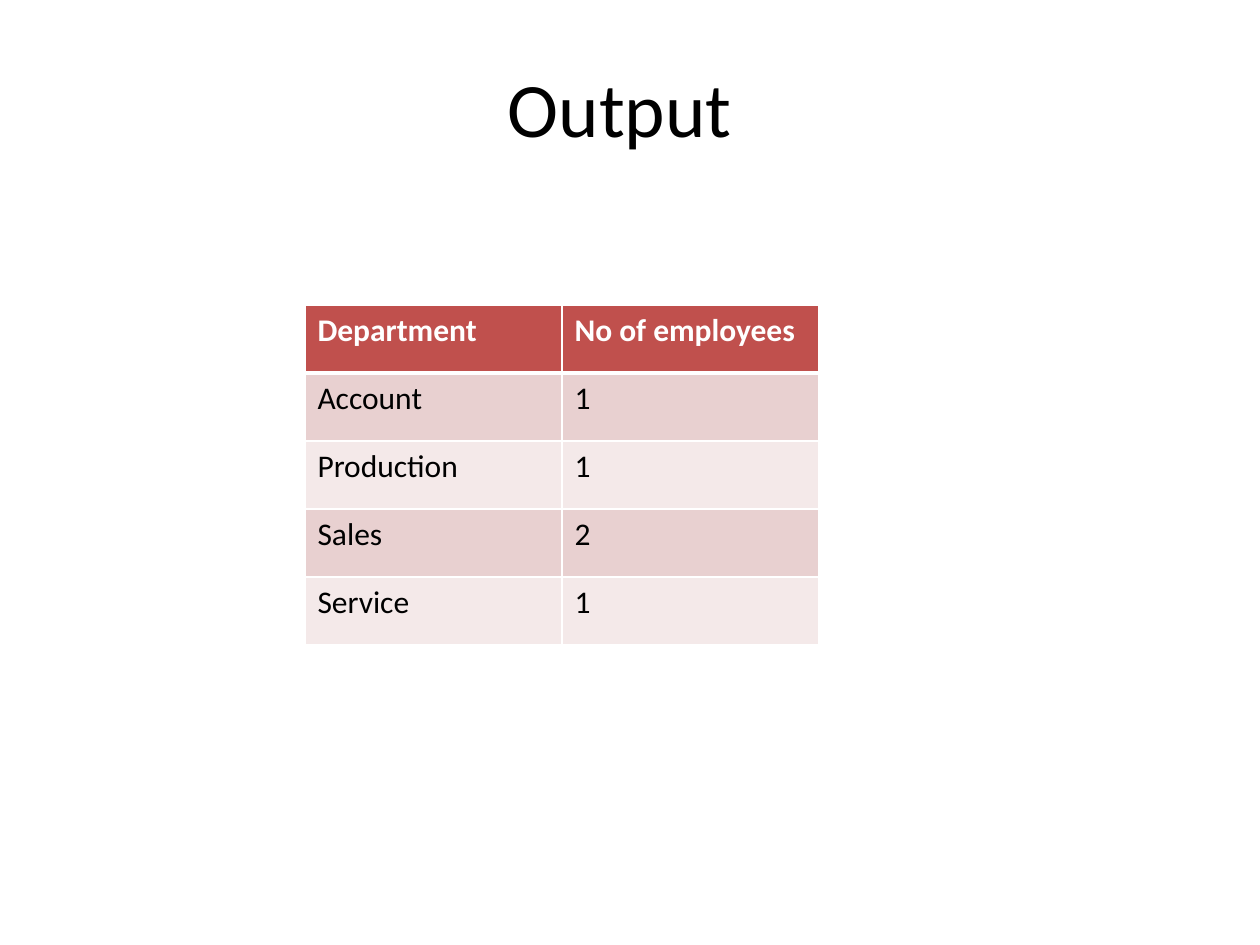
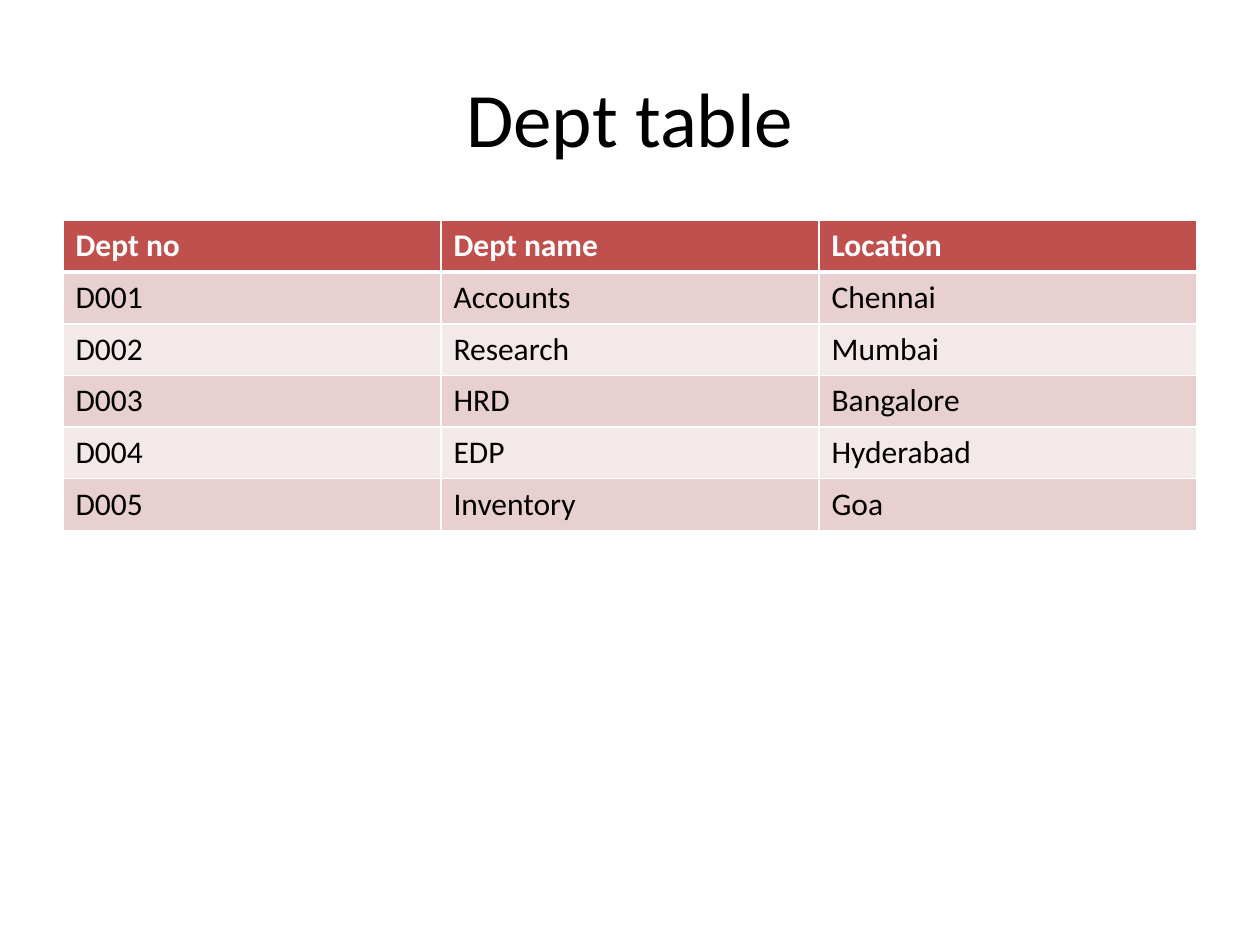
from lxml import etree
from pptx import Presentation
from pptx import util as u
from pptx.dml.color import RGBColor
from pptx.enum import text
from pptx.oxml import ns

FONT = "Calibri"
BLACK = RGBColor(0x00, 0x00, 0x00)
WHITE = RGBColor(0xFF, 0xFF, 0xFF)
HEADER_RED = RGBColor(0xC0, 0x50, 0x4D)
BANDS = (RGBColor(0xE8, 0xD0, 0xD0), RGBColor(0xF4, 0xE9, 0xE9))

EMPLOYEE_COUNTS = (
    ("Department", "No of employees"),
    ("Account", "1"),
    ("Production", "1"),
    ("Sales", "2"),
    ("Service", "1"),
)
DEPARTMENTS = (
    ("Dept no", "Dept name", "Location"),
    ("D001", "Accounts", "Chennai"),
    ("D002", "Research", "Mumbai"),
    ("D003", "HRD", "Bangalore"),
    ("D004", "EDP", "Hyderabad"),
    ("D005", "Inventory", "Goa"),
)


def style_paragraph(para, size, color, bold=False):
    """Set the font of a whole paragraph."""
    para.font.name = FONT
    para.font.size = u.Pt(size)
    para.font.bold = bold
    para.font.color.rgb = color


def add_title(page, title, left, top):
    """Add a centred slide title."""
    box = page.shapes.add_textbox(
        u.Inches(left), u.Inches(top), u.Inches(9), u.Inches(1.25)
    )
    frame = box.text_frame
    frame.word_wrap = True
    frame.vertical_anchor = text.MSO_ANCHOR.MIDDLE
    para = frame.paragraphs[0]
    para.text = title
    para.alignment = text.PP_ALIGN.CENTER
    style_paragraph(para, 44, BLACK)


def set_borders(cell, top, bottom):
    """Draw white cell borders, with top and bottom widths in points."""
    properties = cell._tc.get_or_add_tcPr()
    widths = {"lnL": 1, "lnR": 1, "lnT": top, "lnB": bottom}
    for position, (side, width) in enumerate(widths.items()):
        line = etree.Element(ns.qn(f"a:{side}"), w=str(u.Pt(width)))
        fill = etree.SubElement(line, ns.qn("a:solidFill"))
        etree.SubElement(fill, ns.qn("a:srgbClr"), val=str(WHITE))
        properties.insert(position, line)


def add_banded_table(page, rows, left, top, column_width, row_height):
    """Add a table with a red header and alternating pink rows."""
    columns = len(rows[0])
    table = page.shapes.add_table(
        len(rows), columns, u.Inches(left), u.Inches(top),
        u.Inches(column_width * columns), u.Inches(row_height * len(rows)),
    ).table
    for row_index, values in enumerate(rows):
        header = row_index == 0
        for column_index, value in enumerate(values):
            cell = table.cell(row_index, column_index)
            cell.fill.solid()
            cell.fill.fore_color.rgb = (
                HEADER_RED if header else BANDS[(row_index - 1) % 2]
            )
            set_borders(cell, 3 if row_index == 1 else 1, 3 if header else 1)
            para = cell.text_frame.paragraphs[0]
            para.text = value
            style_paragraph(para, 18, WHITE if header else BLACK, header)


def main():
    """Build and save the two slides."""
    deck = Presentation()
    deck.slide_width, deck.slide_height = u.Inches(10), u.Inches(7.5)
    blank = deck.slide_layouts[6]

    output_page = deck.slides.add_slide(blank)
    add_title(output_page, "Output", 0.42, 0.22)
    add_banded_table(output_page, EMPLOYEE_COUNTS, 2.42, 2.42, 2.04, 0.54)

    department_page = deck.slides.add_slide(blank)
    add_title(department_page, "Dept table", 0.5, 0.3)
    add_banded_table(department_page, DEPARTMENTS, 0.5, 1.75, 3, 0.41)

    deck.save("out.pptx")


if __name__ == "__main__":
    main()
